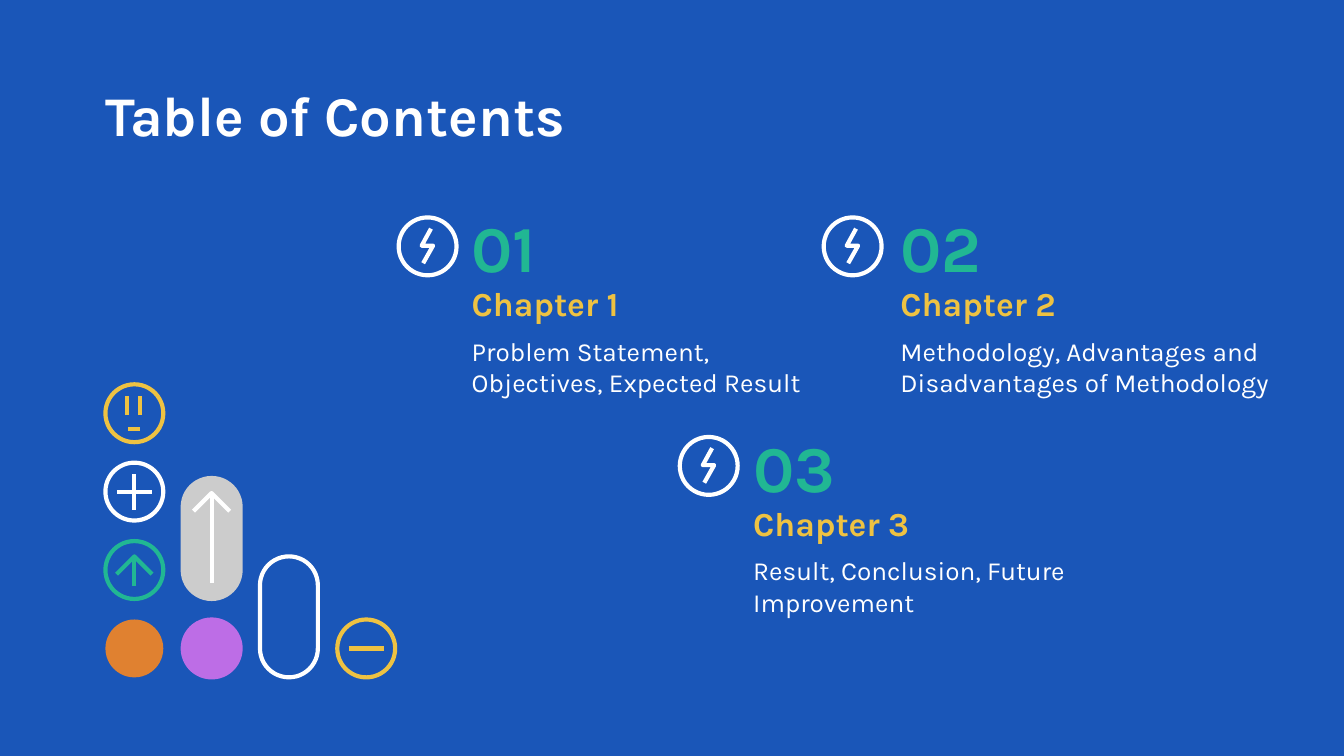
from typing import NamedTuple

from lxml import etree
from pptx import Presentation
from pptx.dml.color import RGBColor
from pptx.enum.shapes import MSO_CONNECTOR, MSO_SHAPE
from pptx.enum.text import MSO_ANCHOR
from pptx.oxml.ns import qn
from pptx.util import Pt

CIRCLE = MSO_SHAPE.OVAL
PILL = MSO_SHAPE.ROUNDED_RECTANGLE
STRAIGHT = MSO_CONNECTOR.STRAIGHT
MIDDLE = MSO_ANCHOR.MIDDLE

FONT = "Karla"
BLUE, WHITE, GREEN, YELLOW = "1A56B8", "FFFFFF", "21B793", "EEC242"
GREY, ORANGE, PURPLE = "CCCCCC", "E08130", "BD6DE6"

STROKE = 2.25
DIAMETER = 31
PILL_HEIGHT = 64.8
FIRST_COLUMN, COLUMN_STEP = 72, 41.4
FIRST_ROW, ROW_STEP = 221.4, 42

Point = tuple[float, float]


class Badge(NamedTuple):
    """Round or pill-shaped sign; its strokes are offsets from its centre."""
    column: int
    row: int
    line: str | None = None
    fill: str | None = None
    strokes: tuple[tuple[Point, ...], ...] = ()
    stroke_color: str = WHITE
    height: float = DIAMETER


class Chapter(NamedTuple):
    number: str
    title: str
    topics: str
    badge_x: float
    text_x: float
    top: float
    topics_width: float


BOLT = ((1.8, -9.5), (-3.2, -0.4), (2.9, -0.4), (-2.4, 9))
MINUS = ((-9.4, 0), (9.4, 0))
PLUS = (((0, 9.7), (0, -9.7)), MINUS)
FACE = (((-4, 1), (-4, -9)), ((3.2, 1), (3.2, -9)), ((-3.2, 8.5), (3.2, 8.5)))
SHORT_ARROW = (((-9.5, 2.2), (0, -7.3), (9.5, 2.2)), ((0, -7.3), (0, 8.6)))
LONG_ARROW = (((-9.7, -14.6), (0, -24.3), (9.7, -14.6)), ((0, -24.3), (0, 24)))

BADGES = [
    Badge(0, 0, YELLOW, strokes=FACE, stroke_color=YELLOW),
    Badge(0, 1, WHITE, strokes=PLUS),
    Badge(0, 2, GREEN, strokes=SHORT_ARROW, stroke_color=GREEN),
    Badge(0, 3, fill=ORANGE),
    Badge(1, 2, GREY, GREY, LONG_ARROW, height=PILL_HEIGHT),
    Badge(1, 3, PURPLE, PURPLE),
    Badge(2, 3, WHITE, height=PILL_HEIGHT),
    Badge(3, 3, YELLOW, strokes=(MINUS,), stroke_color=YELLOW),
]

CHAPTERS = [
    Chapter("01", "Chapter 1", "Problem Statement, Objectives, Expected Result",
            229.1, 252.7, 116.5, 188.6),
    Chapter("02", "Chapter 2",
            "Methodology, Advantages and Disadvantages of Methodology",
            456.8, 482.4, 116.5, 207.4),
    Chapter("03", "Chapter 3", "Result, Conclusion, Future Improvement",
            379.7, 403.5, 234.1, 188.6),
]


def rgb(color: str) -> RGBColor:
    return RGBColor.from_string(color)


def add_text(slide, text: str, left: float, top: float, width: float,
             height: float, *, size: float, color: str, bold: bool = False):
    box = slide.shapes.add_textbox(Pt(left), Pt(top), Pt(width), Pt(height))
    frame = box.text_frame
    frame.word_wrap = True
    frame.vertical_anchor = MIDDLE
    frame.margin_left = frame.margin_right = 0
    frame.margin_top = frame.margin_bottom = 0
    run = frame.paragraphs[0].add_run()
    run.text = text
    run.font.name = FONT
    run.font.size = Pt(size)
    run.font.bold = bold
    run.font.color.rgb = rgb(color)


def add_outline(slide, x: float, y: float, height: float,
                line: str | None, fill: str | None):
    """Draw a circle, or a pill when taller, centred on (x, y)."""
    kind = CIRCLE if height == DIAMETER else PILL
    outline = slide.shapes.add_shape(
        kind, Pt(x - DIAMETER / 2), Pt(y - height / 2), Pt(DIAMETER), Pt(height))
    outline.shadow.inherit = False
    if kind == PILL:
        outline.adjustments[0] = 0.5
    if fill:
        outline.fill.solid()
        outline.fill.fore_color.rgb = rgb(fill)
    else:
        outline.fill.background()
    if line:
        outline.line.color.rgb = rgb(line)
        outline.line.width = Pt(STROKE)
    else:
        outline.line.fill.background()


def add_stroke(slide, x: float, y: float, offsets: tuple[Point, ...], color: str):
    """Draw a connector through two points, an open freeform through more."""
    points = [(Pt(x + dx), Pt(y + dy)) for dx, dy in offsets]
    if len(points) == 2:
        stroke = slide.shapes.add_connector(STRAIGHT, *points[0], *points[1])
        etree.SubElement(stroke.line._get_or_add_ln().getparent(),
                         qn("a:effectLst"))
    else:
        builder = slide.shapes.build_freeform(*points[0])
        builder.add_line_segments(points[1:], close=False)
        stroke = builder.convert_to_shape()
        stroke.shadow.inherit = False
        stroke.fill.background()
    stroke.line.color.rgb = rgb(color)
    stroke.line.width = Pt(STROKE)


def add_badge(slide, badge: Badge):
    """Draw a badge whose lower end rests on its grid row."""
    x = FIRST_COLUMN + badge.column * COLUMN_STEP
    y = FIRST_ROW + badge.row * ROW_STEP - (badge.height - DIAMETER) / 2
    add_outline(slide, x, y, badge.height, badge.line, badge.fill)
    for offsets in badge.strokes:
        add_stroke(slide, x, y, offsets, badge.stroke_color)


def add_chapter(slide, chapter: Chapter):
    x, top = chapter.text_x, chapter.top
    badge_y = top + DIAMETER / 2
    add_outline(slide, chapter.badge_x, badge_y, DIAMETER, WHITE, None)
    add_stroke(slide, chapter.badge_x, badge_y, BOLT, WHITE)
    add_text(slide, chapter.number, x, top, 57.6, DIAMETER,
             size=35, color=GREEN, bold=True)
    add_text(slide, chapter.title, x, top + 31.9, 181.4, 28,
             size=18, color=YELLOW, bold=True)
    add_text(slide, chapter.topics, x, top + 60.9, chapter.topics_width, 38,
             size=14, color=WHITE)


def main():
    deck = Presentation()
    deck.slide_width, deck.slide_height = Pt(720), Pt(405)
    slide = deck.slides.add_slide(deck.slide_layouts[6])
    slide.background.fill.solid()
    slide.background.fill.fore_color.rgb = rgb(BLUE)

    add_text(slide, "Table of Contents", 56.7, 42.5, 607, 37.4,
             size=30, color=WHITE, bold=True)
    for badge in BADGES:
        add_badge(slide, badge)
    for chapter in CHAPTERS:
        add_chapter(slide, chapter)
    deck.save("out.pptx")


if __name__ == "__main__":
    main()
